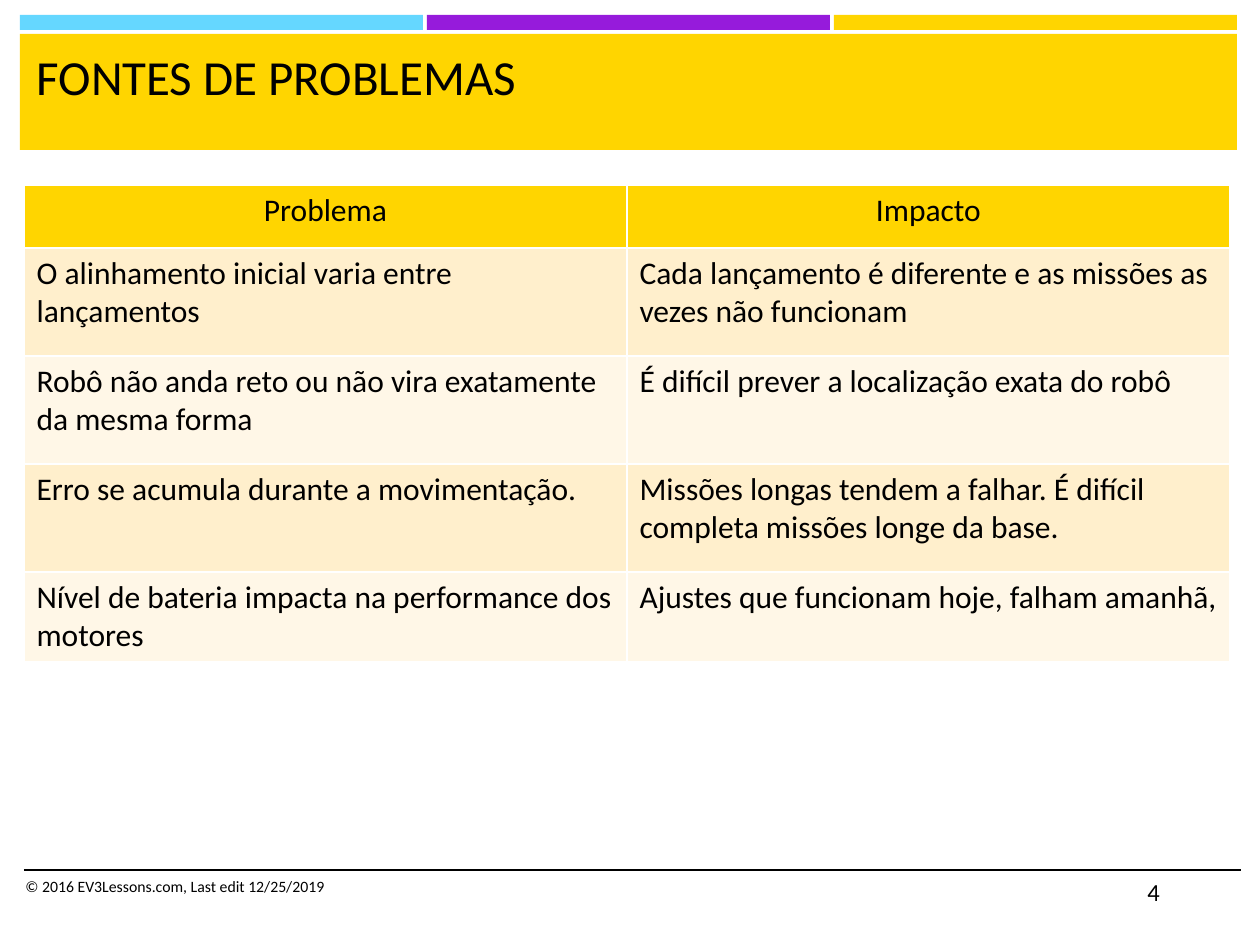
from dataclasses import dataclass

from lxml.etree import SubElement
from pptx import Presentation
from pptx.dml.color import RGBColor
from pptx.enum.shapes import MSO_CONNECTOR, MSO_SHAPE
from pptx.enum.text import MSO_ANCHOR, MSO_AUTO_SIZE, PP_ALIGN
from pptx.oxml import parse_xml
from pptx.oxml.ns import nsdecls, qn
from pptx.util import Pt

PX_PER_INCH = 126


def px(value):
    return round(value * 914400 / PX_PER_INCH)


@dataclass(frozen=True)
class Theme:
    font: str = "Calibri"
    text: str = "000000"
    border: str = "FFFFFF"
    cyan: str = "65D7FF"
    purple: str = "961BDB"
    yellow: str = "FFD500"
    bands: tuple = ("FFEFCC", "FFF7E7")
    title_size: int = 28
    table_size: int = 18
    number_size: int = 14
    footer_size: int = 9


class SlideBuilder:
    def __init__(self, deck, theme):
        self.theme = theme
        self.slide = deck.slides.add_slide(deck.slide_layouts[5])

    def set_text(self, frame, text, size, align=PP_ALIGN.LEFT):
        frame.text = text
        frame.word_wrap = True
        para = frame.paragraphs[0]
        para.alignment = align
        for span in para.runs:
            span.font.name = self.theme.font
            span.font.size = Pt(size)
            span.font.color.rgb = RGBColor.from_string(self.theme.text)

    def bar(self, left, top, width, height, color):
        shape = self.slide.shapes.add_shape(
            MSO_SHAPE.RECTANGLE, px(left), px(top), px(width), px(height))
        shape.shadow.inherit = False
        shape.fill.solid()
        shape.fill.fore_color.rgb = RGBColor.from_string(color)
        shape.line.fill.background()

    def rule(self, left, right, y):
        line = self.slide.shapes.add_connector(
            MSO_CONNECTOR.STRAIGHT, px(left), px(y), px(right), px(y))
        line.line.color.rgb = RGBColor.from_string(self.theme.text)
        line.line.width = Pt(1)
        SubElement(line._element.spPr, qn("a:effectLst"))

    def title(self, text, left, top, width, height):
        box = self.slide.shapes.title
        box.left, box.top = px(left), px(top)
        box.width, box.height = px(width), px(height)
        frame = box.text_frame
        self.set_text(frame, text, self.theme.title_size)
        frame.auto_size = MSO_AUTO_SIZE.NONE
        frame.vertical_anchor = MSO_ANCHOR.TOP

    def text(self, text, left, top, width, height, size):
        box = self.slide.shapes.add_textbox(
            px(left), px(top), px(width), px(height))
        self.set_text(box.text_frame, text, size)

    def cell(self, cell, text, color, align):
        self.set_text(cell.text_frame, text, self.theme.table_size, align)
        cell.fill.solid()
        cell.fill.fore_color.rgb = RGBColor.from_string(color)
        properties = cell._tc.get_or_add_tcPr()
        # Borders come before the fill in the cell properties
        for index, side in enumerate("LRTB"):
            properties.insert(index, parse_xml(
                f'<a:ln{side} {nsdecls("a")} w="{Pt(1)}"><a:solidFill>'
                f'<a:srgbClr val="{self.theme.border}"/>'
                f'</a:solidFill></a:ln{side}>'))

    def table(self, rows, left, top, width, heights):
        columns = len(rows[0])
        table = self.slide.shapes.add_table(
            len(rows), columns, px(left), px(top),
            px(width), px(sum(heights))).table
        for column in table.columns:
            column.width = px(width / columns)
        for number, (texts, height) in enumerate(zip(rows, heights)):
            table.rows[number].height = px(height)
            header = number == 0
            color = self.theme.yellow if header else self.theme.bands[(number - 1) % 2]
            align = PP_ALIGN.CENTER if header else PP_ALIGN.LEFT
            for column, text in enumerate(texts):
                self.cell(table.cell(number, column), text, color, align)


PROBLEMS = [
    ("Problema", "Impacto"),
    ("O alinhamento inicial varia entre lançamentos",
     "Cada lançamento é diferente e as missões as vezes não funcionam"),
    ("Robô não anda reto ou não vira exatamente da mesma forma",
     "É difícil prever a localização exata do robô"),
    ("Erro se acumula durante a movimentação.",
     "Missões longas tendem a falhar. É difícil completa missões longe da base."),
    ("Nível de bateria impacta na performance dos motores",
     "Ajustes que funcionam hoje, falham amanhã,"),
]


def main():
    deck = Presentation()
    deck.slide_width, deck.slide_height = px(1260), px(945)
    theme = Theme()
    page = SlideBuilder(deck, theme)

    # Colour strips and title band
    for index, color in enumerate((theme.cyan, theme.purple, theme.yellow)):
        page.bar(20 + index * 407, 15, 403, 15, color)
    page.bar(20, 34, 1217, 116, theme.yellow)
    # The title placeholder goes in front of its band
    title = page.slide.shapes.title._element
    title.getparent().append(title)
    page.title("FONTES DE PROBLEMAS", 24, 40, 1206, 104)

    # Problems and their impact
    page.table(PROBLEMS, 24, 185, 1206, [63, 108, 108, 108, 89])

    # Footer
    page.rule(24, 1241, 870)
    page.text("© 2016 EV3Lessons.com, Last edit 12/25/2019",
              13, 871, 672, 50, theme.footer_size)
    page.text("4", 1135, 871, 106, 50, theme.number_size)

    deck.save("out.pptx")


if __name__ == "__main__":
    main()
